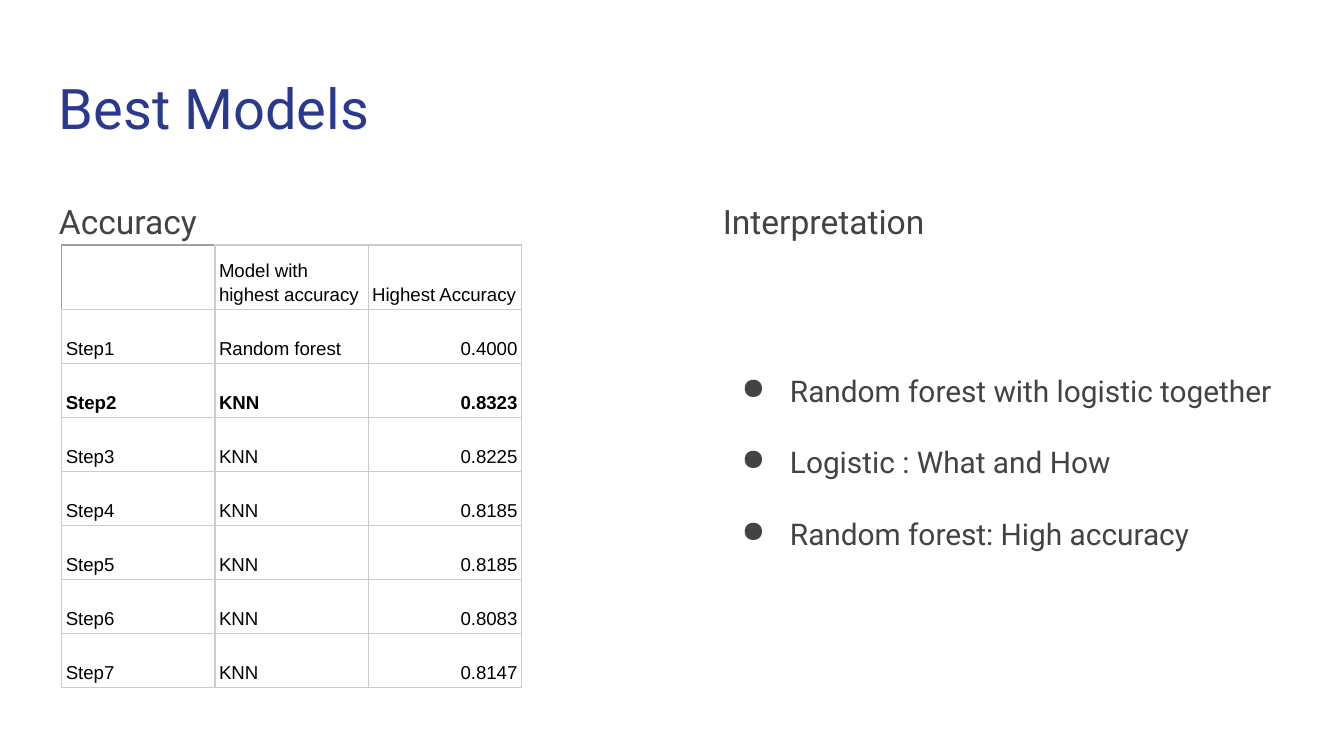
"""Build the Best Models slide: an accuracy table beside its interpretation."""
from lxml import etree
from pptx import Presentation, util as u
from pptx.dml.color import RGBColor
from pptx.enum import text as t
from pptx.oxml import ns

color = RGBColor.from_string
BLUE, GREY, BLACK, LIGHT, MEDIUM = "2A3990", "434343", "000000", "CCCCCC", "9E9E9E"


def write(paragraph, text, size, font="Roboto", fill=GREY, bold=False,
          align=t.PP_ALIGN.LEFT, spacing=1.15, before=0, bullet=None):
    paragraph.alignment = align
    paragraph.line_spacing = spacing
    paragraph.space_before = u.Pt(before)
    run = paragraph.add_run()
    run.text = text
    run.font.size, run.font.name, run.font.bold = u.Pt(size), font, bold
    run.font.color.rgb = color(fill)
    if bullet:
        properties = paragraph._p.get_or_add_pPr()
        properties.set("marL", str(u.Inches(0.5)))
        properties.set("indent", str(u.Inches(-0.36)))
        bullet_color = etree.SubElement(properties, ns.qn("a:buClr"))
        etree.SubElement(bullet_color, ns.qn("a:srgbClr"), val=fill)
        etree.SubElement(properties, ns.qn("a:buChar"), char=bullet)


def add_border(cell, side, fill):
    line = etree.SubElement(cell._tc.get_or_add_tcPr(), ns.qn(f"a:ln{side}"),
                            w=str(u.Pt(0.75)))
    solid = etree.SubElement(line, ns.qn("a:solidFill"))
    etree.SubElement(solid, ns.qn("a:srgbClr"), val=fill)


presentation = Presentation()
presentation.slide_width, presentation.slide_height = u.Inches(10), u.Inches(5.625)
slide = presentation.slides.add_slide(presentation.slide_layouts[6])
column = presentation.slide_width / 100
row = presentation.slide_height / 100

frames = []
for left, top, width, height in [(3.4, 8, 93.2, 11.7), (3.4, 24, 43.7, 65),
                                 (52.8, 24, 43.7, 65)]:
    box = slide.shapes.add_textbox(int(left * column), int(top * row),
                                   int(width * column), int(height * row))
    frame = box.text_frame
    frame.word_wrap = True
    frame.margin_left = frame.margin_right = u.Inches(0.1)
    frame.margin_top = frame.margin_bottom = u.Inches(0.1)
    frames.append(frame)

title, accuracy, interpretation = frames
write(title.paragraphs[0], "Best Models", 30, fill=BLUE, spacing=1.0)
write(accuracy.paragraphs[0], "Accuracy", 18)
write(interpretation.paragraphs[0], "Interpretation", 18)
points = ["Random forest with logistic together", "Logistic : What and How",
          "Random forest: High accuracy"]
for index, point in enumerate(points):
    write(interpretation.add_paragraph(), point, 16, spacing=2.0,
          before=0 if index else 51, bullet="●")

records = [
    ("", "Model with highest accuracy", "Highest Accuracy"),
    ("Step1", "Random forest", "0.4000"),
    ("Step2", "KNN", "0.8323"),
    ("Step3", "KNN", "0.8225"),
    ("Step4", "KNN", "0.8185"),
    ("Step5", "KNN", "0.8185"),
    ("Step6", "KNN", "0.8083"),
    ("Step7", "KNN", "0.8147"),
]
best = max(records[1:], key=lambda record: float(record[2]))
heights = [8.5] + [7.15] * (len(records) - 1)
table = slide.shapes.add_table(len(records), 3, int(4.6 * column), int(32.4 * row),
                               int(34.2 * column), int(sum(heights) * row)).table
table.first_row = table.horz_banding = False
for table_column in table.columns:
    table_column.width = int(11.4 * column)
for r, record in enumerate(records):
    table.rows[r].height = int(heights[r] * row)
    for c, value in enumerate(record):
        cell = table.cell(r, c)
        cell.vertical_anchor = t.MSO_ANCHOR.BOTTOM
        cell.margin_left = cell.margin_right = u.Inches(0.03)
        cell.margin_top = cell.margin_bottom = u.Inches(0.03)
        for side in "LRTB":
            add_border(cell, side, MEDIUM if r == c == 0 and side in "LT" else LIGHT)
        cell.fill.background()
        if value:
            write(cell.text_frame.paragraphs[0], value, 10, font="Arial", fill=BLACK,
                  bold=record is best,
                  align=t.PP_ALIGN.RIGHT if r and c == 2 else t.PP_ALIGN.LEFT)

presentation.save("out.pptx")
